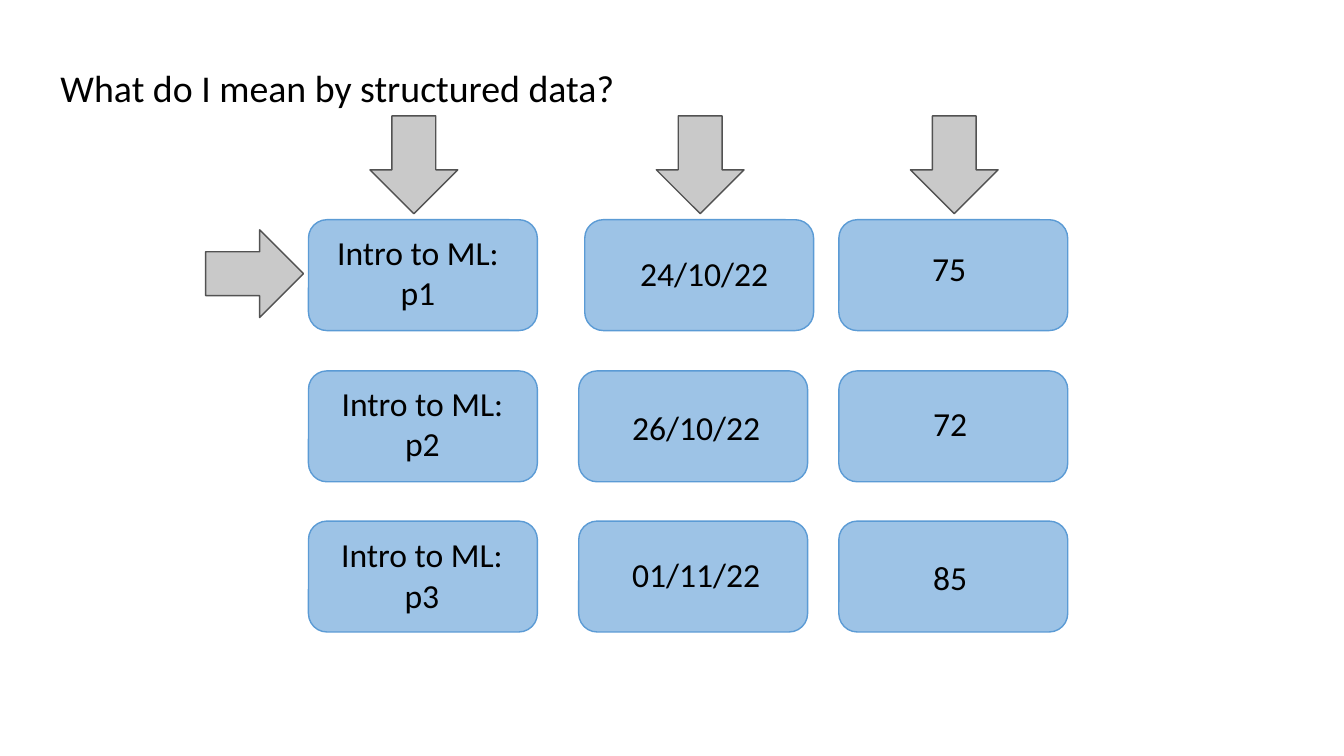
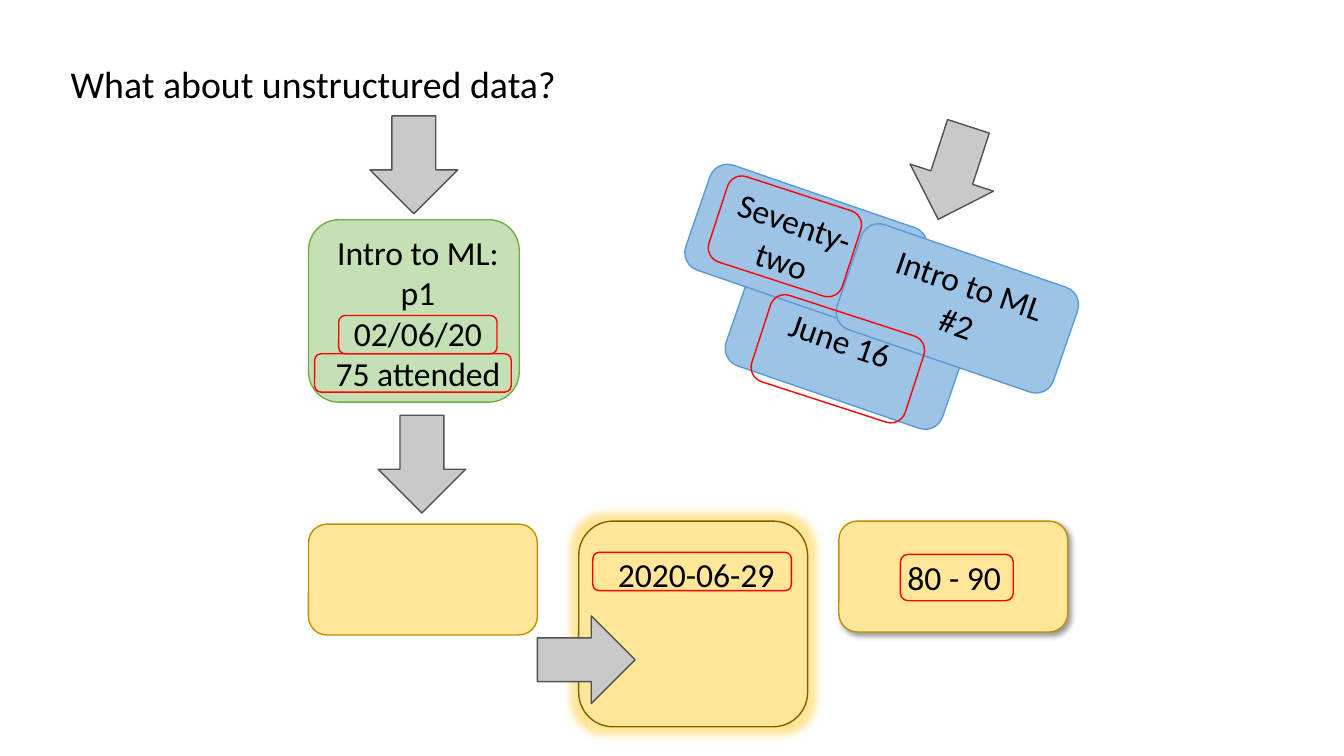
from dataclasses import dataclass

from lxml import etree
from pptx import Presentation
from pptx.dml.color import RGBColor
from pptx.enum.shapes import MSO_SHAPE as SHAPE
from pptx.enum.text import MSO_ANCHOR, MSO_AUTO_SIZE, PP_ALIGN
from pptx.oxml.ns import qn
from pptx.util import Inches, Pt


@dataclass(frozen=True)
class Theme:
    font: str = "Calibri"
    title_size: int = 27
    label_size: int = 24
    line_width: int = 1
    text: str = "000000"
    # Fill and line pairs
    blue: tuple = ("9DC3E6", "5B9BD5")
    green: tuple = ("C5E0B4", "70AD47")
    yellow: tuple = ("FFE699", "BF9000")
    yellow_dark: tuple = ("FFE699", "806000")
    gray: tuple = ("C9C9C9", "525252")
    highlight: tuple = (None, "FF0000")
    glow: str = "FFC000"
    shadow: str = "000000"


THEME = Theme()
CARD_W, CARD_H = 2.27, 1.1
ARROW_W, ARROW_H = 0.87, 0.97
COLUMNS = (3.06, 5.74, 8.32)
ROWS = (2.18, 3.68, 5.17)
TILT = 19


# Element helpers
def style_paragraph(p, size):
    p.font.name = THEME.font
    p.font.size = Pt(size)
    p.font.color.rgb = RGBColor.from_string(THEME.text)


def add_title_slide(prs, title, left, top):
    s = prs.slides.add_slide(prs.slide_layouts[5])
    sp = s.shapes.title
    sp.left, sp.top = Inches(left), Inches(top)
    sp.width, sp.height = Inches(11.5), Inches(1.45)
    tf = sp.text_frame
    tf.text = title
    tf.vertical_anchor = MSO_ANCHOR.MIDDLE
    p = tf.paragraphs[0]
    p.alignment = PP_ALIGN.LEFT
    p.line_spacing = 0.9
    style_paragraph(p, THEME.title_size)
    return s


def add_block(s, kind, colors, left, top, width, height, rotation=0):
    sp = s.shapes.add_shape(kind, Inches(left), Inches(top), Inches(width), Inches(height))
    sp.rotation = rotation
    sp.shadow.inherit = False
    fill, line = colors
    if fill:
        sp.fill.solid()
        sp.fill.fore_color.rgb = RGBColor.from_string(fill)
    else:
        sp.fill.background()
    sp.line.color.rgb = RGBColor.from_string(line)
    sp.line.width = Pt(THEME.line_width)
    return sp


def add_card(s, colors, left, top, width=CARD_W, height=CARD_H, rotation=0):
    return add_block(s, SHAPE.ROUNDED_RECTANGLE, colors, left, top, width, height, rotation)


def add_arrow(s, left, top, rotation=0):
    add_block(s, SHAPE.DOWN_ARROW, THEME.gray, left, top, ARROW_W, ARROW_H, rotation)


def add_label(s, text, left, top, width, height=0.5, rotation=0):
    sp = s.shapes.add_textbox(Inches(left), Inches(top), Inches(width), Inches(height))
    sp.rotation = rotation
    tf = sp.text_frame
    tf.word_wrap = True
    tf.auto_size = MSO_AUTO_SIZE.SHAPE_TO_FIT_TEXT
    tf.text = text
    for p in tf.paragraphs:
        p.alignment = PP_ALIGN.CENTER
        style_paragraph(p, THEME.label_size)


def add_effect(sp, tag, color, alpha, **attributes):
    effects = sp._element.spPr.find(qn("a:effectLst"))
    effect = etree.SubElement(effects, qn(tag), {k: str(v) for k, v in attributes.items()})
    clr = etree.SubElement(effect, qn("a:srgbClr"), val=color)
    etree.SubElement(clr, qn("a:alpha"), val=str(alpha * 1000))


# Slides
def build_structured(prs):
    s = add_title_slide(prs, "What do I mean by structured data?", 0.5, 0.17)

    # Grid of cards, the first date slightly to the right
    for row, top in enumerate(ROWS):
        for col, left in enumerate(COLUMNS):
            nudge = 0.06 if (row, col) == (0, 1) else 0
            add_card(s, THEME.blue, left + nudge, top)

    # Card texts
    for text, left, top, width, height in (
        ("Intro to ML: p1", 3.12, 2.25, 2.05, 0.91),
        ("24/10/22", 5.41, 2.46, 3.15, 0.5),
        ("75", 8.48, 2.41, 1.87, 0.5),
        ("Intro to ML:\np2", 2.97, 3.75, 2.44, 0.91),
        ("26/10/22", 5.33, 3.99, 3.15, 0.5),
        ("72", 8.64, 3.95, 1.57, 0.5),
        ("Intro to ML:\np3", 3.11, 5.25, 2.15, 0.91),
        ("01/11/22", 5.33, 5.45, 3.15, 0.5),
        ("85", 8.79, 5.48, 1.27, 0.5),
    ):
        add_label(s, text, left, top, width, height)

    # Column arrows and row arrow
    for left in (3.67, 6.51, 9.03):
        add_arrow(s, left, 1.15)
    add_arrow(s, 2.09, 2.23, 270)


def build_unstructured(prs):
    s = add_title_slide(prs, "What about unstructured data?", 0.6, 0.13)
    bottom = ROWS[-1]

    # Source cards
    add_card(s, THEME.green, COLUMNS[0], ROWS[0], 2.09, 1.81)
    for left, top in ((7.26, 2.87), (6.86, 1.92), (8.36, 2.51)):
        add_card(s, THEME.blue, left, top, rotation=TILT)

    # Result cards
    add_card(s, THEME.yellow, COLUMNS[0], 5.2)
    date_card = add_card(s, THEME.yellow_dark, COLUMNS[1], bottom, height=2.04)
    add_effect(date_card, "a:glow", THEME.glow, 40, rad=Pt(11))
    count_card = add_card(s, THEME.yellow, COLUMNS[2], bottom)
    add_effect(count_card, "a:outerShdw", THEME.shadow, 40, blurRad=Pt(4), dist=Pt(3),
               dir=45 * 60000, algn="tl", rotWithShape=0)

    # Card texts
    for text, left, top, width, height, rotation in (
        ("Intro to ML: p1\n02/06/20\n75 attended", 3.12, 2.25, 2.05, 1.72, 0),
        ("Intro to ML #2", 8.58, 2.56, 1.95, 0.91, TILT),
        ("June 16", 7.64, 3.11, 1.26, 0.91, TILT),
        ("Seventy- two", 6.88, 1.94, 1.88, 0.91, TILT),
        ("2020-06-29", 5.33, 5.45, 3.15, 0.5, 0),
        ("80 - 90", 8.48, 5.48, 1.97, 0.5, 0),
    ):
        add_label(s, text, left, top, width, height, rotation)

    # Highlights around dates and counts
    for left, top, width, height, rotation in (
        (3.36, 3.13, 1.57, 0.38, 0),
        (3.12, 3.51, 1.95, 0.38, 0),
        (7.51, 3.11, 1.6, 0.9, 18),
        (7.09, 1.9, 1.39, 0.89, 18),
        (5.88, 5.48, 1.97, 0.38, 0),
        (8.93, 5.5, 1.12, 0.46, 0),
    ):
        add_card(s, THEME.highlight, left, top, width, height, rotation)

    # Flow arrows
    for left, top, rotation in ((3.67, 1.15, 0), (9.02, 1.23, 18),
                                (3.75, 4.12, 0), (5.38, 6.06, 270)):
        add_arrow(s, left, top, rotation)


def main():
    prs = Presentation()
    prs.slide_width, prs.slide_height = Inches(13.33), Inches(7.5)
    build_structured(prs)
    build_unstructured(prs)
    prs.save("out.pptx")


if __name__ == "__main__":
    main()
